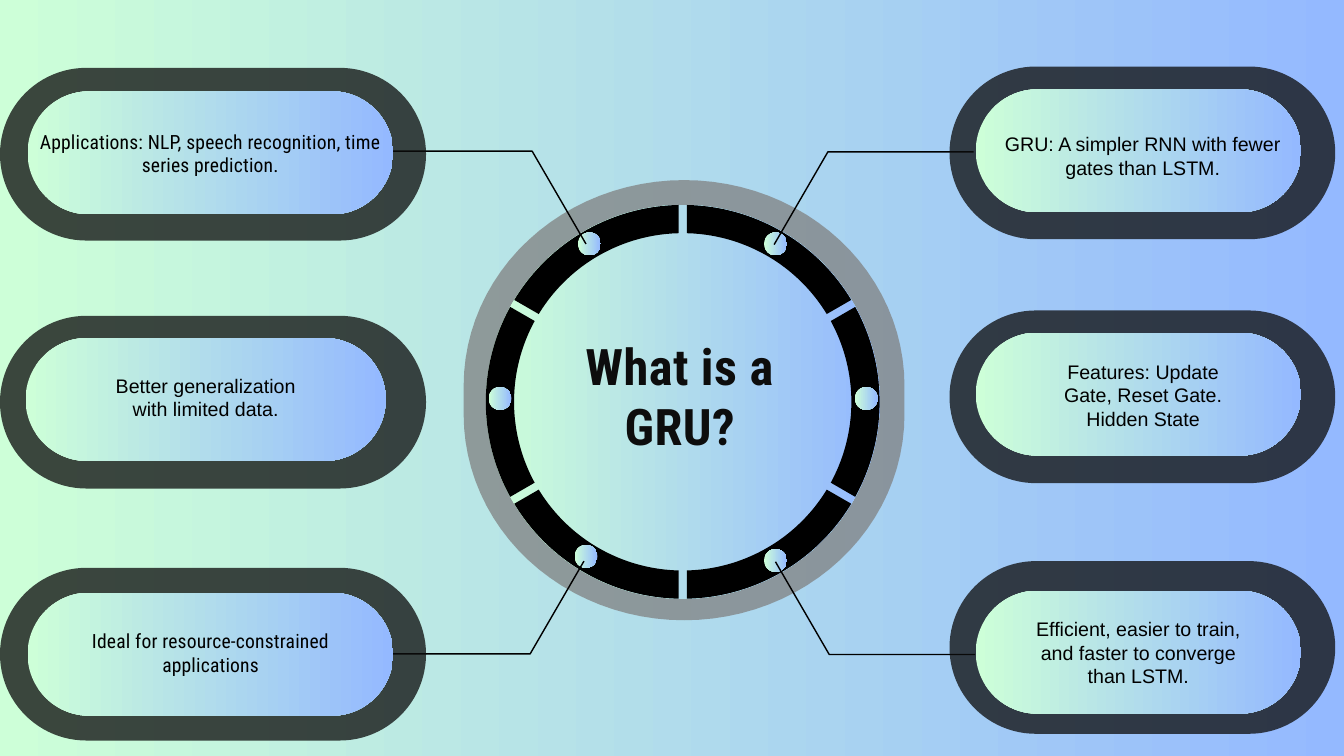
from dataclasses import dataclass
from math import asin, cos, pi, radians, sin

from lxml.etree import SubElement
from pptx import Presentation
from pptx.dml.color import RGBColor
from pptx.enum.shapes import MSO_SHAPE
from pptx.enum.text import MSO_ANCHOR, MSO_AUTO_SIZE, PP_ALIGN
from pptx.oxml.ns import qn
from pptx.util import Inches, Pt

Point = tuple[float, float]
Box = tuple[float, float, float, float]


@dataclass(frozen=True)
class Theme:
    mint: str = "CDFFD8"
    sky: str = "94B9FF"
    ink: str = "0D0D0D"
    black: str = "000000"
    grey: str = "808080"
    sans: str = "Arial"
    condensed: str = "Roboto Condensed"
    body: float = 21
    body_leading: float = 25.2
    title: float = 54
    title_leading: float = 64.8


@dataclass(frozen=True)
class Card:
    text: str
    outer: Box
    inner: Box
    text_box: Box
    font: str
    spacing: float = 0


@dataclass(frozen=True)
class Callout:
    start: Point
    right: int
    down: int


T = Theme()
CENTER = (10.16, 5.98)
OUTER_R, INNER_R, GAP = 2.93, 2.51, 0.12
DOT = 0.34
DOTS = [(11.54, 3.63), (12.89, 5.93), (11.54, 8.34),
        (8.72, 8.28), (7.44, 5.93), (8.77, 3.63)]
CALLOUTS = [
    Callout((11.52, 3.64), 1, -1),
    Callout((11.54, 8.36), 1, 1),
    Callout((8.72, 3.63), -1, -1),
    Callout((8.69, 8.35), -1, 1),
]
CARDS = [
    Card("GRU: A simpler RNN with fewer gates than LSTM.",
         (14.13, 0.99, 5.74, 2.57), (14.52, 1.33, 4.84, 1.83),
         (14.77, 1.97, 4.47, 0.77), T.sans),
    Card("Features: Update Gate, Reset Gate. Hidden State",
         (14.13, 4.62, 5.74, 2.57), (14.52, 4.95, 4.84, 1.83),
         (15.57, 5.35, 2.88, 1.12), T.sans),
    Card("Efficient, easier to train, and faster to converge than LSTM.",
         (14.13, 8.35, 5.74, 2.57), (14.52, 8.79, 4.84, 1.83),
         (15.26, 9.18, 3.36, 1.12), T.sans),
    Card("Ideal for resource-constrained applications",
         (0, 8.45, 6.34, 2.57), (0.41, 8.82, 5.44, 1.83),
         (1.06, 9.36, 4.15, 0.77), T.condensed, 0.2),
    Card("Better generalization with limited data.",
         (0, 4.7, 6.34, 2.57), (0.38, 5.03, 5.36, 1.83),
         (1.62, 5.56, 2.88, 0.77), T.sans),
    Card("Applications: NLP, speech recognition, time series prediction.",
         (0, 1.01, 6.34, 2.57), (0.41, 1.36, 5.44, 1.83),
         (0.47, 1.93, 5.32, 0.77), T.condensed, 0.2),
]


def set_gradient(fill) -> None:
    fill.gradient()
    fill.gradient_angle = 0
    for stop, color in zip(fill.gradient_stops, (T.mint, T.sky)):
        stop.color.rgb = RGBColor.from_string(color)


def set_solid(sp, color: str, opacity: int = 100) -> None:
    sp.fill.solid()
    sp.fill.fore_color.rgb = RGBColor.from_string(color)
    if opacity < 100:
        clr = sp.element.spPr.find(qn("a:solidFill"))[0]
        SubElement(clr, qn("a:alpha")).set("val", str(opacity * 1000))


def add_preset(s, kind, box: Box):
    sp = s.shapes.add_shape(kind, *map(Inches, box))
    sp.shadow.inherit = False
    sp.line.fill.background()
    return sp


def add_outline(s, points: list[Point], close: bool = True):
    pts = [(Inches(x), Inches(y)) for x, y in points]
    builder = s.shapes.build_freeform(*pts[0])
    builder.add_line_segments(pts[1:], close=close)
    sp = builder.convert_to_shape()
    sp.shadow.inherit = False
    sp.line.fill.background()
    return sp


def arc(center: Point, rx: float, ry: float, start: float, end: float) -> list[Point]:
    steps = 48
    angles = [start + (end - start) * i / steps for i in range(steps + 1)]
    return [(center[0] + rx * cos(a), center[1] + ry * sin(a)) for a in angles]


def set_text(tf, text: str, *, font: str, size: float, leading: float,
             color: str, bold: bool = False, spacing: float = 0) -> None:
    tf.word_wrap = True
    tf.auto_size = MSO_AUTO_SIZE.NONE
    tf.vertical_anchor = MSO_ANCHOR.TOP
    tf.margin_left = tf.margin_right = tf.margin_top = tf.margin_bottom = 0
    p = tf.paragraphs[0]
    p.alignment = PP_ALIGN.CENTER
    p.line_spacing = Pt(leading)
    p.space_before = Pt(0)
    r = p.add_run()
    r.text = text
    r.font.name, r.font.size, r.font.bold = font, Pt(size), bold
    r.font.color.rgb = RGBColor.from_string(color)
    if spacing:
        r._r.get_or_add_rPr().set("spc", str(round(spacing * 100)))


def add_wheel(s) -> None:
    halo = arc((10.18, 5.74), 3.28, 3.06, pi, 2 * pi)
    halo += arc((10.18, 6.17), 3.28, 3.06, 0, pi)
    set_solid(add_outline(s, halo), T.grey, 74)
    cx, cy = CENTER
    disc = (cx - OUTER_R, cy - OUTER_R, 2 * OUTER_R, 2 * OUTER_R)
    set_gradient(add_preset(s, MSO_SHAPE.OVAL, disc).fill)
    outer_trim, inner_trim = asin(GAP / 2 / OUTER_R), asin(GAP / 2 / INNER_R)
    for degrees in range(30, 390, 60):
        start, end = radians(degrees), radians(degrees + 60)
        edge = arc(CENTER, OUTER_R, OUTER_R, start + outer_trim, end - outer_trim)
        edge += arc(CENTER, INNER_R, INNER_R, end - inner_trim, start + inner_trim)
        set_solid(add_outline(s, edge), T.black)
    for x, y in DOTS:
        dot = add_preset(s, MSO_SHAPE.OVAL, (x - DOT / 2, y - DOT / 2, DOT, DOT))
        set_gradient(dot.fill)


def add_callout(s, callout: Callout) -> None:
    x, y = callout.start
    bend_x, bend_y = x + 0.8 * callout.right, y + 1.38 * callout.down
    end = (bend_x + 2.17 * callout.right, bend_y)
    sp = add_outline(s, [(x, y), (bend_x, bend_y), end], close=False)
    sp.fill.background()
    sp.line.color.rgb = RGBColor.from_string(T.black)
    sp.line.width = Pt(1.5)


def add_card(s, card: Card) -> None:
    outer = add_preset(s, MSO_SHAPE.ROUNDED_RECTANGLE, card.outer)
    inner = add_preset(s, MSO_SHAPE.ROUNDED_RECTANGLE, card.inner)
    outer.adjustments[0] = inner.adjustments[0] = 0.5
    set_solid(outer, T.ink, 76)
    set_gradient(inner.fill)
    tb = s.shapes.add_textbox(*map(Inches, card.text_box))
    set_text(tb.text_frame, card.text, font=card.font, size=T.body,
             leading=T.body_leading, color=T.black, spacing=card.spacing)


def add_title(s) -> None:
    title = s.shapes.title
    title.left, title.top, title.width, title.height = map(Inches, (8.02, 4.98, 4.19, 1.87))
    set_text(title.text_frame, "What is a GRU?", font=T.condensed, size=T.title,
             leading=T.title_leading, color=T.ink, bold=True, spacing=0.5)
    title.element.getparent().append(title.element)


def main() -> None:
    prs = Presentation()
    prs.slide_width, prs.slide_height = Inches(20), Inches(11.25)
    s = prs.slides.add_slide(prs.slide_layouts[5])
    set_gradient(s.background.fill)
    add_wheel(s)
    for callout in CALLOUTS:
        add_callout(s, callout)
    for card in CARDS:
        add_card(s, card)
    add_title(s)
    prs.save("out.pptx")


if __name__ == "__main__":
    main()
